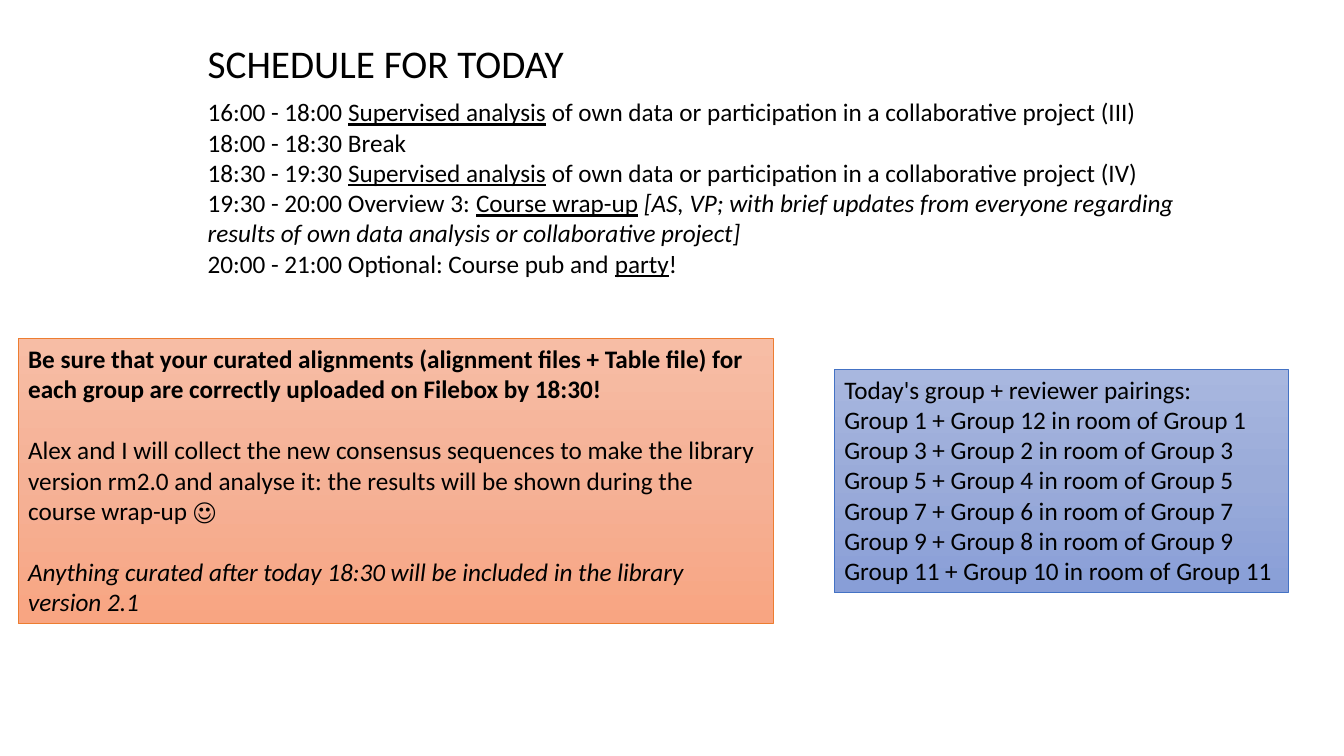
"""Build the course slide with today's schedule, a deadline notice and group pairings."""
from copy import deepcopy

from lxml.etree import SubElement
from pptx import Presentation
from pptx.dml.color import RGBColor
from pptx.enum.shapes import MSO_SHAPE
from pptx.enum.text import MSO_ANCHOR, MSO_AUTO_SIZE, PP_ALIGN
from pptx.oxml.ns import qn
from pptx.util import Cm, Pt

BLACK = RGBColor(0x00, 0x00, 0x00)
ORANGE = RGBColor(0xED, 0x7D, 0x31)
ORANGE_STOPS = [RGBColor(0xF7, 0xBD, 0xA5), RGBColor(0xF5, 0xB1, 0x96), RGBColor(0xF8, 0xA5, 0x82)]
BLUE = RGBColor(0x44, 0x72, 0xC4)
BLUE_STOPS = [RGBColor(0xA8, 0xB7, 0xDF), RGBColor(0x9A, 0xAB, 0xD9), RGBColor(0x88, 0x9E, 0xD7)]


def place(sp, left, top, width, height):
    sp.left, sp.top, sp.width, sp.height = Cm(left), Cm(top), Cm(width), Cm(height)


def write(sp, paragraphs, size=18, gap=0, wrap=True):
    tf = sp.text_frame
    tf.word_wrap = wrap
    tf.auto_size = MSO_AUTO_SIZE.NONE
    tf.vertical_anchor = MSO_ANCHOR.TOP
    for i, runs in enumerate(paragraphs):
        p = tf.add_paragraph() if i else tf.paragraphs[0]
        p.alignment = PP_ALIGN.LEFT
        p.space_before = Pt(gap if i else 0)
        pPr = p._p.get_or_add_pPr()
        pPr.set("marL", "0")
        pPr.set("indent", "0")
        SubElement(pPr, qn("a:buNone"))
        for text, style in runs:
            r = p.add_run()
            r.text = text
            r.font.name = "Calibri"
            r.font.size = Pt(size)
            r.font.color.rgb = BLACK
            r.font.bold = style == "b"
            r.font.italic = style == "i"
            r.font.underline = style == "u"


prs = Presentation()
prs.slide_width, prs.slide_height = Cm(33.87), Cm(19.05)
s = prs.slides.add_slide(prs.slide_layouts[1])
title, body = s.placeholders

place(title, 4.98, 0.86, 9.58, 1.45)
write(title, [[("SCHEDULE FOR TODAY", "")]], size=28, wrap=False)

project = " of own data or participation in a collaborative project "
place(body, 4.98, 2.31, 25.27, 4.88)
write(body, [
    [("16:00 - 18:00 ", ""), ("Supervised analysis", "u"), (project + "(III)", "")],
    [("18:00 - 18:30 Break", "")],
    [("18:30 - 19:30 ", ""), ("Supervised analysis", "u"), (project + "(IV)", "")],
    [("19:30 - 20:00 Overview 3: ", ""), ("Course wrap-up", "u"), (" ", ""),
     ("[AS, VP; with brief updates from everyone regarding "
      "results of own data analysis or collaborative project]", "i")],
    [("20:00 - 21:00 Optional: Course pub and ", ""), ("party", "u"), ("!", "")],
])

notice = [
    [("Be sure that your curated alignments (alignment files + Table file) for each group "
      "are correctly uploaded on Filebox by 18:30!", "b")],
    [("Alex and I will collect the new consensus sequences to make the library version rm2.0 "
      "and analyse it: the results will be shown during the course wrap-up ☺", "")],
    [("Anything curated after today 18:30 will be included in the library version 2.1", "i")],
]
pairings = [[("Today's group + reviewer pairings:", "")]]
for host in range(1, 12, 2):
    reviewer = host - 1 or 12
    pairings.append([(f"Group {host} + Group {reviewer} in room of Group {host}", "")])

panels = [
    ((0.46, 8.53, 19.02, 7.19), ORANGE, ORANGE_STOPS, notice, 22, True),
    ((21.03, 9.3, 11.43, 5.64), BLUE, BLUE_STOPS, pairings, 0, False),
]
for box, line, colours, paragraphs, gap, wrap in panels:
    sp = s.shapes.add_shape(MSO_SHAPE.RECTANGLE, *[Cm(v) for v in box])
    sp.shadow.inherit = False
    sp.line.color.rgb = line
    sp.line.width = Pt(0.5)
    sp.fill.gradient()
    sp.fill.gradient_angle = 270
    gsLst = sp._element.spPr.find(".//" + qn("a:gsLst"))
    gsLst.insert(1, deepcopy(gsLst[0]))
    for stop, colour, position in zip(sp.fill.gradient_stops, colours, (0, 0.5, 1)):
        stop.color.rgb = colour
        stop.position = position
    write(sp, paragraphs, gap=gap, wrap=wrap)

prs.save("out.pptx")
